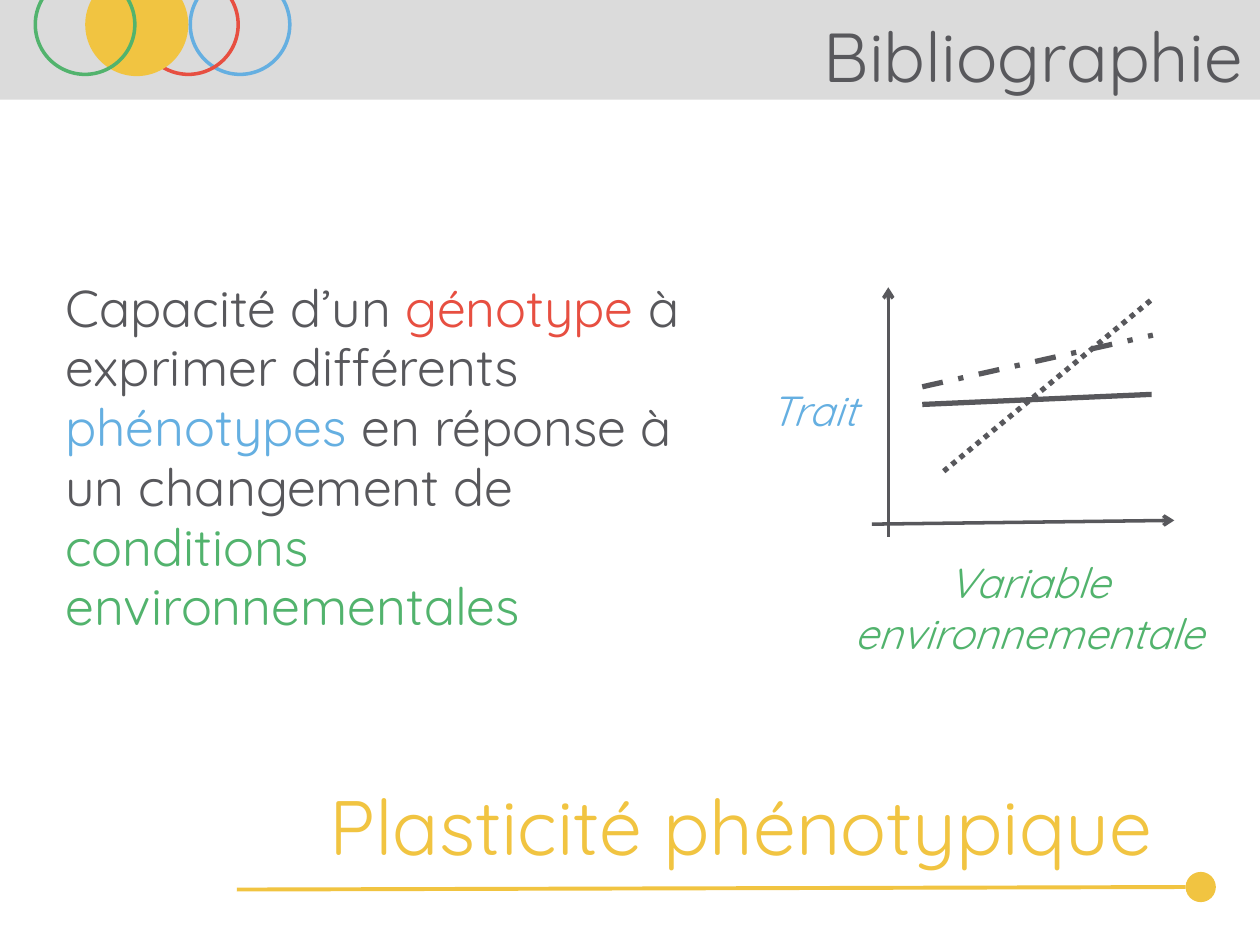
from lxml import etree
from pptx import Presentation
from pptx.dml.color import RGBColor
from pptx.enum.dml import MSO_LINE
from pptx.enum.shapes import MSO_CONNECTOR, MSO_SHAPE
from pptx.enum.text import MSO_ANCHOR, PP_ALIGN
from pptx.oxml.ns import qn
from pptx.util import Inches, Pt

RECTANGLE, OVAL = MSO_SHAPE.RECTANGLE, MSO_SHAPE.OVAL
STRAIGHT = MSO_CONNECTOR.STRAIGHT
DOTTED, DASH_DOT = MSO_LINE.ROUND_DOT, MSO_LINE.DASH_DOT
LEFT, CENTER, RIGHT = PP_ALIGN.LEFT, PP_ALIGN.CENTER, PP_ALIGN.RIGHT
TOP, MIDDLE = MSO_ANCHOR.TOP, MSO_ANCHOR.MIDDLE

FONT = "Quicksand"
COLORS = {
    "band": "DBDBDB",
    "dark": "58585C",
    "blue": "65AFE1",
    "red": "E74F41",
    "yellow": "F1C441",
    "green": "52B36D",
}

TITLE = [("Bibliographie", "dark")]
TOPIC = [("Plasticité phénotypique", "yellow")]
DEFINITION = [
    ("Capacité d’un ", "dark"),
    ("génotype", "red"),
    (" à exprimer différents ", "dark"),
    ("phénotypes ", "blue"),
    ("en réponse à un changement de ", "dark"),
    ("conditions environnementales", "green"),
]
X_LABEL = [("Variable environnementale", "green")]
Y_LABEL = [("Trait", "blue")]

RINGS = [("blue", False), ("red", False), ("yellow", True), ("green", False)]
RING_LEFT, RING_TOP, RING_SIZE, RING_STEP = 0.28, -0.2, 0.79, 0.41

AXES = [((6.92, 4.16), (9.32, 4.13)), ((7.05, 4.26), (7.05, 2.28))]
REACTION_NORMS = [
    ((7.32, 3.21), (9.14, 3.13), None),
    ((7.49, 3.74), (9.15, 2.37), DOTTED),
    ((7.32, 3.07), (9.15, 2.66), DASH_DOT),
]


def rgb(name):
    return RGBColor.from_string(COLORS[name])


def add_figure(kind, box, fill=None, outline=None):
    shape = slide.shapes.add_shape(kind, *map(Inches, box))
    shape.shadow.inherit = False
    if fill:
        shape.fill.solid()
        shape.fill.fore_color.rgb = rgb(fill)
    else:
        shape.fill.background()
    if outline:
        shape.line.color.rgb = rgb(outline)
        shape.line.width = Pt(2)
    else:
        shape.line.fill.background()


def add_line(start, end, color, width, dash=None, arrow=False):
    connector = slide.shapes.add_connector(STRAIGHT, *map(Inches, start + end))
    connector.line.color.rgb = rgb(color)
    connector.line.width = Pt(width)
    if dash:
        connector.line.dash_style = dash
    if arrow:
        line = connector.line._get_or_add_ln()
        etree.SubElement(line, qn("a:tailEnd"), type="arrow")
    etree.SubElement(connector._element.spPr, qn("a:effectLst"))


def add_text(box, parts, size, align, anchor=TOP, italic=False, spacing=None):
    text_frame = slide.shapes.add_textbox(*map(Inches, box)).text_frame
    text_frame.word_wrap = True
    text_frame.vertical_anchor = anchor
    paragraph = text_frame.paragraphs[0]
    paragraph.alignment = align
    if spacing:
        paragraph.line_spacing = spacing
    for text, color in parts:
        run = paragraph.add_run()
        run.text = text
        run.font.name = FONT
        run.font.size = Pt(size)
        run.font.italic = italic
        run.font.color.rgb = rgb(color)


presentation = Presentation()
presentation.slide_width, presentation.slide_height = Inches(10), Inches(7.5)
slide = presentation.slides.add_slide(presentation.slide_layouts[6])

add_figure(RECTANGLE, (0, 0, 10, 0.79), fill="band")
add_text((5.61, 0.1, 4.35, 0.67), TITLE, 39.6, RIGHT, MIDDLE)

for index, (color, filled) in enumerate(RINGS):
    left = RING_LEFT + (len(RINGS) - 1 - index) * RING_STEP
    box = (left, RING_TOP, RING_SIZE, RING_SIZE)
    add_figure(OVAL, box, color if filled else None, color)

add_text((1.61, 6.13, 7.64, 0.79), TOPIC, 44, RIGHT)
add_figure(OVAL, (9.41, 6.92, 0.24, 0.24), fill="yellow")
add_line((9.41, 7.04), (1.88, 7.06), "yellow", 2.25)

for start, end in AXES:
    add_line(start, end, "dark", 2, arrow=True)
for start, end, dash in REACTION_NORMS:
    add_line(start, end, "dark", 3, dash)

add_text((6.51, 4.37, 3.31, 0.91), X_LABEL, 24, CENTER, italic=True)
add_text((5.95, 3, 1.01, 0.5), Y_LABEL, 24, CENTER, italic=True)
add_text((0.42, 2.17, 5.42, 3.24), DEFINITION, 29.6, LEFT, spacing=0.96)

presentation.save("out.pptx")
